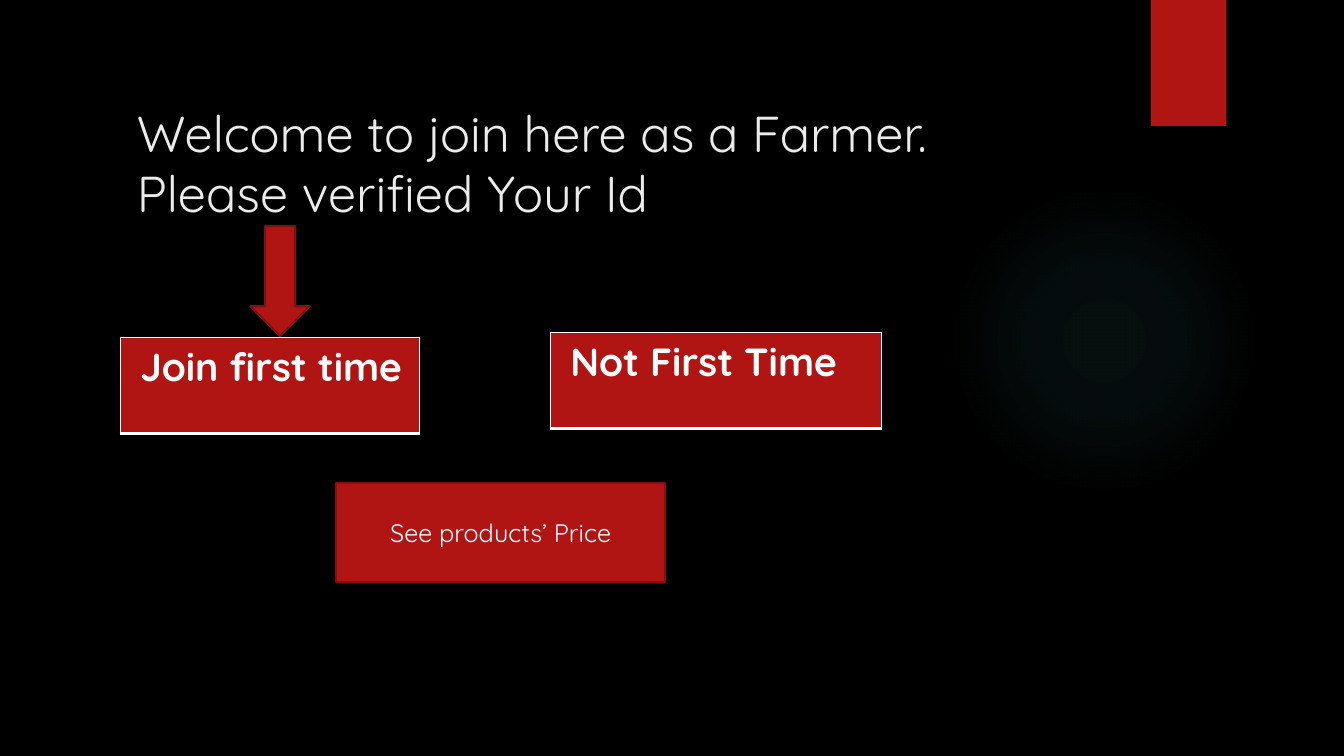
from dataclasses import dataclass

from lxml.etree import SubElement
from pptx import Presentation
from pptx.dml.color import RGBColor
from pptx.enum.shapes import MSO_SHAPE
from pptx.enum.text import MSO_ANCHOR, PP_ALIGN
from pptx.oxml import parse_xml
from pptx.oxml.ns import nsdecls, qn
from pptx.util import Inches, Pt


@dataclass(frozen=True)
class Theme:
    font: str = "Quicksand"
    background: str = "000000"
    red: str = "B01513"
    dark_red: str = "82100E"
    white: str = "FFFFFF"
    title: str = "EBEBEB"
    glow: str = "50B9C1"
    title_size: int = 36
    option_size: int = 28
    button_size: int = 18
    outline: float = 1.5


class SlideBuilder:
    columns = 16
    rows = 9

    def __init__(self, prs, theme):
        self.theme = theme
        self.column = prs.slide_width / self.columns
        self.row = prs.slide_height / self.rows
        self.slide = prs.slides.add_slide(prs.slide_layouts[6])
        fill = self.slide.background.fill
        fill.solid()
        fill.fore_color.rgb = RGBColor.from_string(theme.background)

    def box(self, left, top, width, height):
        return (round(left * self.column), round(top * self.row),
                round(width * self.column), round(height * self.row))

    def set_text(self, tf, text, size, color, bold=False, align=PP_ALIGN.LEFT):
        tf.word_wrap = True
        tf.text = text
        p = tf.paragraphs[0]
        p.alignment = align
        font = p.runs[0].font
        font.name = self.theme.font
        font.size = Pt(size)
        font.bold = bold
        font.color.rgb = RGBColor.from_string(color)

    def shape(self, kind, area, outlined=True):
        sp = self.slide.shapes.add_shape(kind, *self.box(*area))
        sp.shadow.inherit = False
        sp.fill.solid()
        sp.fill.fore_color.rgb = RGBColor.from_string(self.theme.red)
        if outlined:
            sp.line.color.rgb = RGBColor.from_string(self.theme.dark_red)
            sp.line.width = Pt(self.theme.outline)
        else:
            sp.line.fill.background()
        return sp

    def glow(self, area, stops):
        sp = self.shape(MSO_SHAPE.OVAL, area, outlined=False)
        gradient = parse_xml(
            f'<a:gradFill {nsdecls("a")}><a:gsLst/><a:path path="circle">'
            '<a:fillToRect l="50000" t="50000" r="50000" b="50000"/>'
            '</a:path></a:gradFill>')
        for position, opacity in stops:
            stop = SubElement(gradient[0], qn("a:gs"), pos=str(position * 1000))
            color = SubElement(stop, qn("a:srgbClr"), val=self.theme.glow)
            SubElement(color, qn("a:alpha"), val=str(opacity * 1000))
        properties = sp.element.spPr
        properties.replace(properties.find(qn("a:solidFill")), gradient)

    def title(self, text, area):
        sp = self.slide.shapes.add_textbox(*self.box(*area))
        tf = sp.text_frame
        self.set_text(tf, text, self.theme.title_size, self.theme.title)
        tf.vertical_anchor = MSO_ANCHOR.BOTTOM

    def button(self, text, area):
        tf = self.shape(MSO_SHAPE.RECTANGLE, area).text_frame
        self.set_text(tf, text, self.theme.button_size, self.theme.white,
                      align=PP_ALIGN.CENTER)
        tf.vertical_anchor = MSO_ANCHOR.MIDDLE

    def option(self, text, area):
        table = self.slide.shapes.add_table(1, 1, *self.box(*area)).table
        table.first_row = False
        table.horz_banding = False
        cell = table.cell(0, 0)
        cell.margin_left = Inches(0.2)
        cell.margin_right = 0
        self.set_text(cell.text_frame, text, self.theme.option_size,
                      self.theme.white, bold=True)
        properties = cell._tc.get_or_add_tcPr()
        for side, width in zip("LRTB", (1, 1, 1, 3)):
            border = SubElement(properties, qn(f"a:ln{side}"), w=str(int(Pt(width))))
            fill = SubElement(border, qn("a:solidFill"))
            SubElement(fill, qn("a:srgbClr"), val=self.theme.white)
        cell.fill.solid()
        cell.fill.fore_color.rgb = RGBColor.from_string(self.theme.red)


def main():
    prs = Presentation()
    prs.slide_width = Inches(13.33)
    prs.slide_height = Inches(7.5)
    s = SlideBuilder(prs, Theme())
    s.glow((11.29, 2.2, 3.7, 3.7), ((0, 7), (36, 6), (69, 0)))
    s.shape(MSO_SHAPE.RECTANGLE, (13.7, 0, 0.9, 1.5), outlined=False)
    s.title("Welcome to join here as a Farmer. Please verified Your Id",
            (1.51, 1.16, 11.29, 1.55))
    s.option("Join first time", (1.43, 4.02, 3.56, 1.14))
    s.option("Not First Time", (6.55, 3.96, 3.94, 1.14))
    s.shape(MSO_SHAPE.DOWN_ARROW, (2.98, 2.69, 0.71, 1.31))
    s.button("See products’ Price", (4, 5.75, 3.92, 1.18))
    prs.save("out.pptx")


if __name__ == "__main__":
    main()
